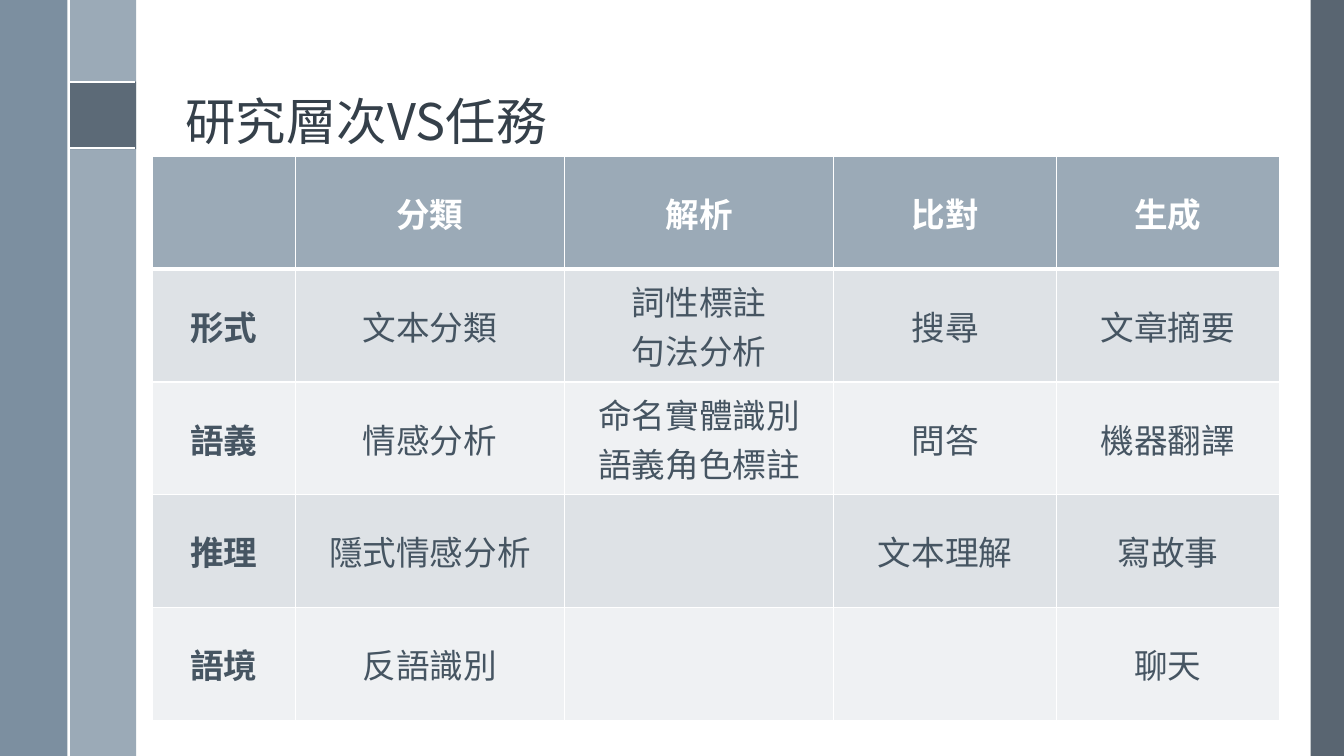
from dataclasses import dataclass

from lxml import etree
from pptx import Presentation
from pptx import util as u
from pptx.dml.color import RGBColor
from pptx.enum import shapes, text
from pptx.oxml import ns


@dataclass(frozen=True)
class Theme:
    """Colours, fonts and sizes of the slide."""
    white: str = "FFFFFF"
    slate: str = "475562"
    steel: str = "6A8093"
    mist: str = "9BAAB7"
    title_ink: str = "35404A"
    cell_ink: str = "465562"
    bands: tuple = ("DEE2E6", "EFF1F3")
    title_font: str = "Noto Sans CJK TC"
    cell_font: str = "Noto Sans CJK SC"
    title_size: int = 36
    cell_size: int = 24
    rule: float = 1.5
    grid: int = 1
    header_rule: int = 3


THEME = Theme()

TASKS = [
    ["", "分類", "解析", "比對", "生成"],
    ["形式", "文本分類", "詞性標註\n句法分析", "搜尋", "文章摘要"],
    ["語義", "情感分析", "命名實體識別\n語義角色標註", "問答", "機器翻譯"],
    ["推理", "隱式情感分析", "", "文本理解", "寫故事"],
    ["語境", "反語識別", "", "", "聊天"],
]
COLUMN_WIDTHS = [1.42, 2.67, 2.67, 2.21, 2.21]
ROW_HEIGHT = 1.12


def add_child(parent, tag, **attributes):
    """Append a DrawingML element and return it."""
    return etree.SubElement(parent, ns.qn(tag), attributes)


def style_paragraph(paragraph, font_name, size, color, bold, align):
    """Format a paragraph and its runs for Latin and East Asian text."""
    paragraph.alignment = align
    for run in paragraph.runs:
        font = run.font
        font.name = font_name
        font.size = u.Pt(size)
        font.bold = bold
        font.color.rgb = RGBColor.from_string(color)
        add_child(font._element, "a:ea", typeface=font_name)


def add_band(slide, left, top, width, height, color, opacity=100):
    """Add a borderless rectangle, optionally translucent."""
    band = slide.shapes.add_shape(
        shapes.MSO_SHAPE.RECTANGLE,
        *(u.Inches(length) for length in (left, top, width, height)))
    band.shadow.inherit = False
    band.line.fill.background()
    band.fill.solid()
    band.fill.fore_color.rgb = RGBColor.from_string(color)
    if opacity < 100:
        tint = band._element.spPr.find(".//" + ns.qn("a:srgbClr"))
        add_child(tint, "a:alpha", val=str(opacity * 1000))


def add_rule(slide, x1, y1, x2, y2):
    """Add a thin white dividing line."""
    rule = slide.shapes.add_connector(
        shapes.MSO_CONNECTOR.STRAIGHT,
        *(u.Inches(length) for length in (x1, y1, x2, y2)))
    rule.line.color.rgb = RGBColor.from_string(THEME.white)
    rule.line.width = u.Pt(THEME.rule)
    add_child(rule._element.spPr, "a:effectLst")


def add_title(slide, wording):
    """Fill and place the title placeholder."""
    title = slide.shapes.title
    title.left, title.top = u.Inches(1.74), u.Inches(0.19)
    title.width, title.height = u.Inches(10.7), u.Inches(1.36)
    frame = title.text_frame
    frame.text = wording
    frame.word_wrap = True
    frame.auto_size = text.MSO_AUTO_SIZE.NONE
    frame.vertical_anchor = text.MSO_ANCHOR.BOTTOM
    frame.paragraphs[0].line_spacing = 0.9
    style_paragraph(frame.paragraphs[0], THEME.title_font, THEME.title_size,
                    THEME.title_ink, False, text.PP_ALIGN.LEFT)


def set_borders(cell, top, bottom):
    """Draw white borders around a cell."""
    properties = cell._tc.get_or_add_tcPr()
    widths = {"L": THEME.grid, "R": THEME.grid, "T": top, "B": bottom}
    for side, width in widths.items():
        edge = add_child(properties, f"a:ln{side}", w=str(u.Pt(width)))
        add_child(add_child(edge, "a:solidFill"), "a:srgbClr", val=THEME.white)


def style_cell(cell, row, column):
    """Format a cell according to its place in the table."""
    header = row == 0
    set_borders(cell, THEME.header_rule if row == 1 else THEME.grid,
                THEME.header_rule if header else THEME.grid)
    cell.fill.solid()
    fill = THEME.mist if header else THEME.bands[(row - 1) % 2]
    cell.fill.fore_color.rgb = RGBColor.from_string(fill)
    cell.vertical_anchor = text.MSO_ANCHOR.MIDDLE
    cell.margin_left = cell.margin_right = u.Inches(0.12)
    cell.margin_top = cell.margin_bottom = u.Inches(0.05)
    for paragraph in cell.text_frame.paragraphs:
        style_paragraph(paragraph, THEME.cell_font, THEME.cell_size,
                        THEME.white if header else THEME.cell_ink,
                        header or column == 0, text.PP_ALIGN.CENTER)


def add_task_table(slide):
    """Add the table of research levels against tasks."""
    tasks = slide.shapes.add_table(
        len(TASKS), len(COLUMN_WIDTHS), u.Inches(1.51), u.Inches(1.55),
        u.Inches(sum(COLUMN_WIDTHS)), u.Inches(ROW_HEIGHT * len(TASKS))).table
    for column, width in zip(tasks.columns, COLUMN_WIDTHS):
        column.width = u.Inches(width)
    for row, wordings in enumerate(TASKS):
        tasks.rows[row].height = u.Inches(ROW_HEIGHT)
        for column, wording in enumerate(wordings):
            cell = tasks.cell(row, column)
            cell.text_frame.text = wording
            style_cell(cell, row, column)


def main():
    """Build and save the slide."""
    deck = Presentation()
    deck.slide_width, deck.slide_height = u.Inches(13.33), u.Inches(7.5)
    slide = deck.slides.add_slide(deck.slide_layouts[5])
    slide.background.fill.solid()
    slide.background.fill.fore_color.rgb = RGBColor.from_string(THEME.white)

    add_band(slide, 13, 0, 0.33, 7.5, THEME.slate, 90)
    add_band(slide, 0.68, 0, 0.67, 7.5, THEME.mist)
    add_band(slide, 0, 0, 0.67, 7.5, THEME.steel, 88)
    add_band(slide, 0.68, 0.81, 0.67, 0.67, THEME.slate, 75)
    for y in (0.81, 1.47):
        add_rule(slide, 0.68, y, 1.34, y)
    add_rule(slide, 0.68, 0, 0.68, 7.5)

    add_title(slide, "研究層次VS任務")
    add_task_table(slide)
    deck.save("out.pptx")


if __name__ == "__main__":
    main()
